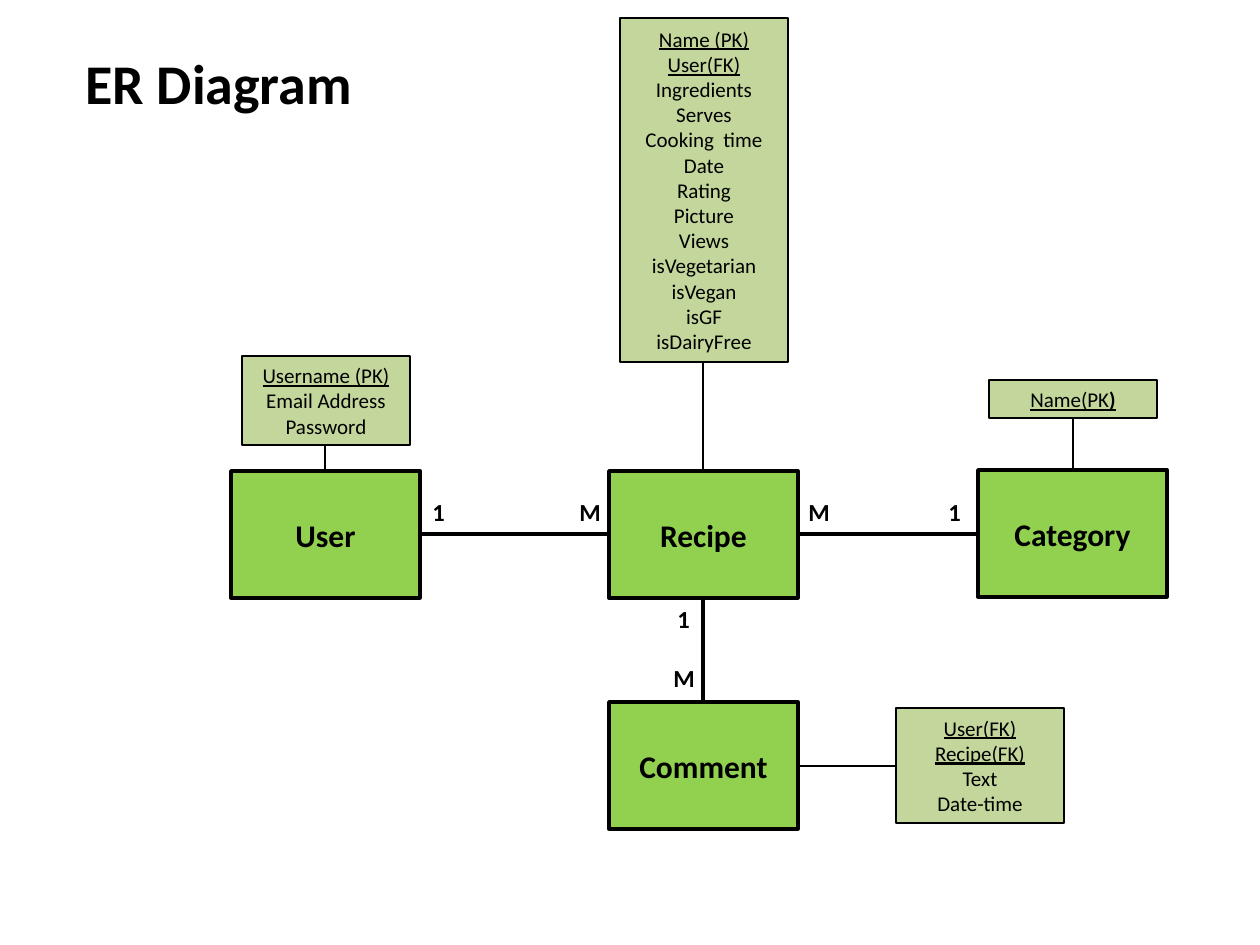
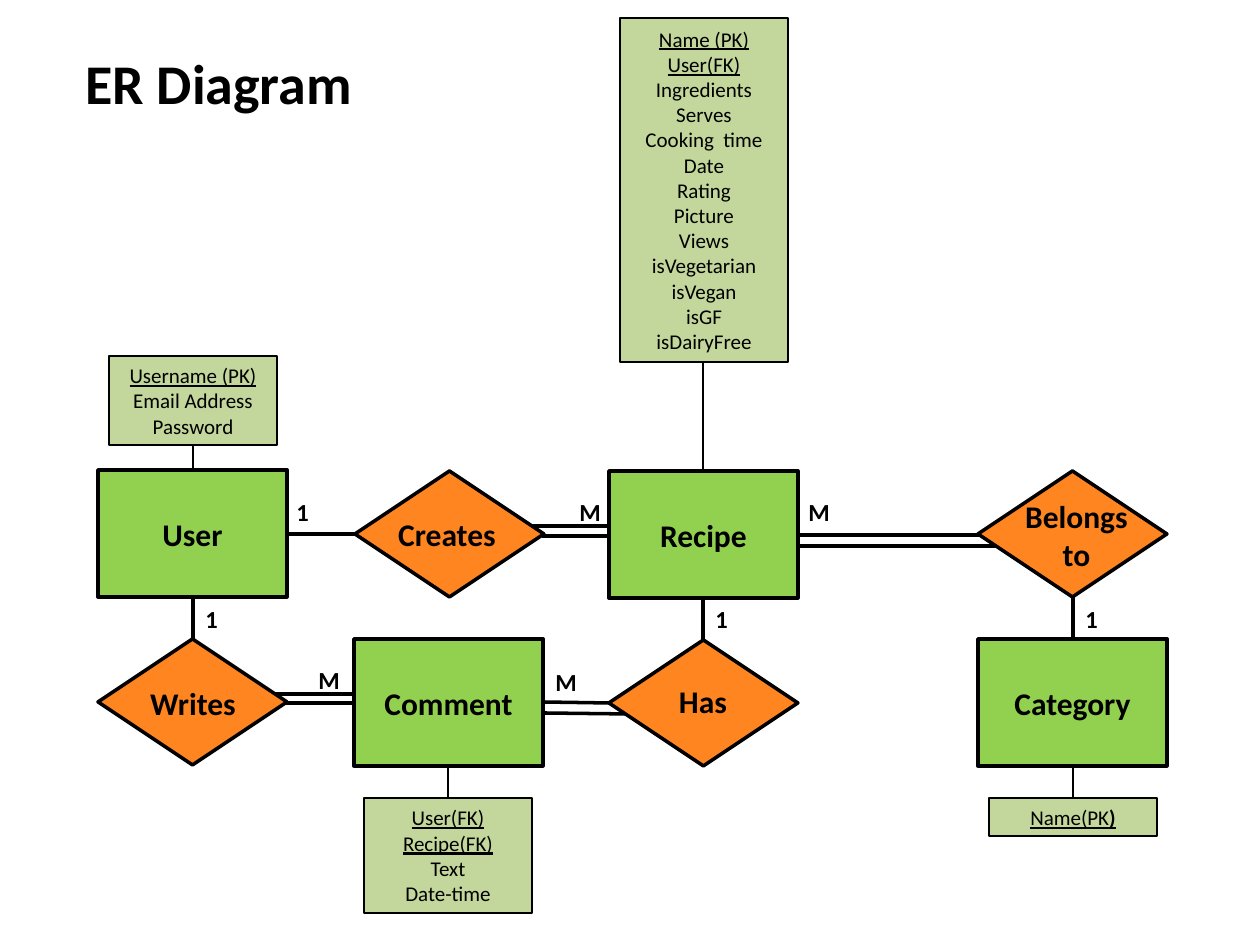
from pptx import Presentation
from pptx.dml.color import RGBColor
from pptx.enum.shapes import MSO_CONNECTOR, MSO_SHAPE
from pptx.enum.text import MSO_ANCHOR, MSO_AUTO_SIZE, PP_ALIGN
from pptx.oxml.ns import qn
from pptx.util import Inches, Pt
from lxml import etree

SCALE = Inches(1) // 126
FONT = "Calibri"
BLACK = RGBColor(0x00, 0x00, 0x00)
GREEN = RGBColor(0x92, 0xD0, 0x50)
PALE_GREEN = RGBColor(0xC3, 0xD6, 0x9B)
ORANGE = RGBColor(0xFF, 0x85, 0x21)
RECT, DIAMOND = MSO_SHAPE.RECTANGLE, MSO_SHAPE.DIAMOND
STRAIGHT = MSO_CONNECTOR.STRAIGHT
LEFT, CENTER = PP_ALIGN.LEFT, PP_ALIGN.CENTER
MIDDLE = MSO_ANCHOR.MIDDLE
GROW = MSO_AUTO_SIZE.SHAPE_TO_FIT_TEXT

ENTITY_W, ENTITY_H = 189, 127
DIAMOND_H = 126
ATTRIBUTE_W = 168
THICK, THIN = 2, 1

USER_KEYS, USER_FIELDS = ["Username (PK)"], ["Email Address", "Password"]
RECIPE_KEYS = ["Name (PK)", "User(FK)"]
RECIPE_FIELDS = ["Ingredients", "Serves", "Cooking  time", "Date", "Rating",
                 "Picture", "Views", "isVegetarian", "isVegan", "isGF",
                 "isDairyFree"]
COMMENT_KEYS = ["User(FK)", "Recipe(FK)"]
COMMENT_FIELDS = ["Text", "Date-time"]


class Diagram:
    def __init__(self, prs):
        self.prs = prs
        self.slide = None

    def new_slide(self, title):
        self.slide = self.prs.slides.add_slide(self.prs.slide_layouts[6])
        self.label(title, 73, 42, 315, 81, 32)

    def box(self, kind, x, y, w, h, fill, width):
        sp = self.slide.shapes.add_shape(kind, *(v * SCALE for v in (x, y, w, h)))
        sp.shadow.inherit = False
        sp.fill.solid()
        sp.fill.fore_color.rgb = fill
        sp.line.color.rgb = BLACK
        sp.line.width = Pt(width)
        return sp

    def set_text(self, p, text, size, bold=False, underline=False, align=CENTER):
        p.text = text
        p.alignment = align
        p.font.name = FONT
        p.font.size = Pt(size)
        p.font.bold = bold
        p.font.underline = underline
        p.font.color.rgb = BLACK

    def label(self, text, x, y, w, h, size, align=LEFT):
        sp = self.slide.shapes.add_textbox(*(v * SCALE for v in (x, y, w, h)))
        tf = sp.text_frame
        tf.word_wrap = True
        tf.auto_size = GROW
        self.set_text(tf.paragraphs[0], text, size, bold=True, align=align)

    def entity(self, name, x, y):
        sp = self.box(RECT, x, y, ENTITY_W, ENTITY_H, GREEN, THICK)
        tf = sp.text_frame
        tf.vertical_anchor = MIDDLE
        self.set_text(tf.paragraphs[0], name, 18, bold=True)

    def relationship(self, name, x, y, text_x, text_y, text_w=126, text_h=50):
        self.box(DIAMOND, x, y, ENTITY_W, DIAMOND_H, ORANGE, THICK)
        self.label(name, text_x, text_y, text_w, text_h, 18, CENTER)

    def attributes(self, x, y, keys, fields=(), bold_tail=""):
        lines = [*keys, *fields]
        height = round(12.6 + 25.5 * len(lines))
        sp = self.box(RECT, x, y, ATTRIBUTE_W, height, PALE_GREEN, THIN)
        tf = sp.text_frame
        tf.vertical_anchor = MIDDLE
        for i, text in enumerate(lines):
            p = tf.add_paragraph() if i else tf.paragraphs[0]
            self.set_text(p, text, 12, underline=i < len(keys))
        if bold_tail:
            r = p.add_run()
            r.text = bold_tail
            r.font.bold = True

    def line(self, x1, y1, x2, y2, width=THICK):
        cx = self.slide.shapes.add_connector(
            STRAIGHT, *(v * SCALE for v in (x1, y1, x2, y2)))
        cx.line.color.rgb = BLACK
        cx.line.width = Pt(width)
        etree.SubElement(cx._element.spPr, qn("a:effectLst"))

    def cardinalities(self, *marks):
        for text, x, y in marks:
            self.label(text, x, y, 42, 43, 14)

    def recipe(self):
        self.entity("Recipe", 609, 471)
        self.attributes(620, 18, RECIPE_KEYS, RECIPE_FIELDS)
        self.line(703, 362, 703, 471, THIN)
        self.cardinalities(("M", 567, 491), ("M", 796, 491))


prs = Presentation()
prs.slide_width, prs.slide_height = Inches(10), Inches(7.5)
d = Diagram(prs)

d.new_slide("ER Diagram")
d.recipe()
d.entity("User", 231, 471)
d.entity("Category", 978, 470)
d.entity("Comment", 609, 702)
d.attributes(242, 356, USER_KEYS, USER_FIELDS)
d.attributes(989, 380, ["Name(PK"], bold_tail=")")
d.attributes(896, 708, COMMENT_KEYS, COMMENT_FIELDS)
d.line(420, 534, 609, 534)
d.line(798, 534, 978, 534)
d.line(703, 598, 703, 702)
d.line(325, 471, 325, 445, THIN)
d.line(1073, 470, 1073, 418, THIN)
d.line(798, 766, 896, 766, THIN)
d.cardinalities(("1", 420, 491), ("1", 936, 491), ("1", 665, 598), ("M", 661, 657))

d.new_slide("ER Diagram")
for x1, y1, x2, y2 in [
    (541, 713, 630, 714), (543, 702, 609, 703),
    (798, 535, 998, 535), (798, 546, 998, 546),
    (285, 703, 354, 703), (275, 694, 352, 694),
    (542, 536, 611, 536), (532, 526, 609, 526),
    (287, 534, 355, 534), (193, 598, 193, 639),
    (703, 598, 703, 640), (1073, 639, 1073, 597),
]:
    d.line(x1, y1, x2, y2)
d.recipe()
d.entity("User", 98, 470)
d.entity("Category", 978, 639)
d.entity("Comment", 354, 639)
d.relationship("Creates", 355, 471, 384, 509)
d.relationship("Writes", 98, 639, 130, 678)
d.relationship("Has", 609, 640, 640, 676)
d.relationship("Belongs to", 978, 471, 1009, 491, 135, 89)
d.attributes(109, 356, USER_KEYS, USER_FIELDS)
d.attributes(989, 798, ["Name(PK"], bold_tail=")")
d.attributes(364, 798, COMMENT_KEYS, COMMENT_FIELDS)
d.line(193, 470, 193, 445, THIN)
d.line(1073, 798, 1073, 766, THIN)
d.line(448, 766, 448, 798, THIN)
d.cardinalities(("1", 284, 491), ("1", 703, 598), ("1", 1073, 598),
                ("1", 193, 598), ("M", 306, 659), ("M", 543, 661))

prs.save("out.pptx")
